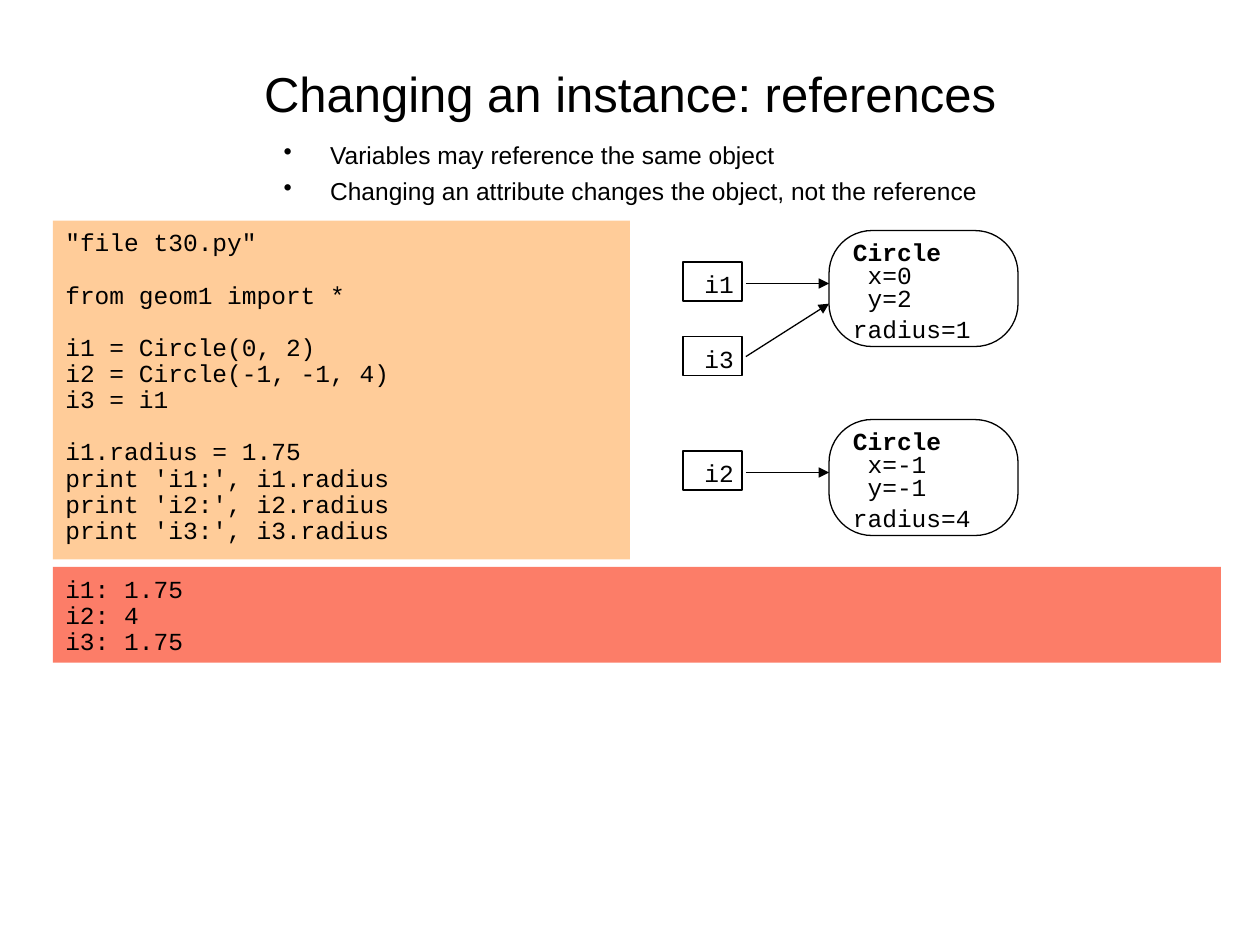
from lxml.etree import SubElement
from pptx import Presentation
from pptx.dml.color import RGBColor
from pptx.enum.shapes import MSO_CONNECTOR, MSO_SHAPE
from pptx.enum.text import MSO_ANCHOR, PP_ALIGN
from pptx.oxml.ns import qn
from pptx.util import Inches, Pt

COLORS = {"text": "000000", "line": "000000", "code": "FFCC99", "output": "FC7D68"}
SANS, MONO = "Arial", "Courier New"

# Grid of the slide, in inches
LEFT = 0.42
LABEL_X, ARROW_X, OBJECT_X = 5.42, 5.92, 6.58
OBJECT_TOP, OBJECT_STEP = 1.83, 1.5
LABEL_SIZE = (0.47, 0.31)
OBJECT_SIZE = (1.5, 0.92)

CODE = """"file t30.py"

from geom1 import *

i1 = Circle(0, 2)
i2 = Circle(-1, -1, 4)
i3 = i1

i1.radius = 1.75
print 'i1:', i1.radius
print 'i2:', i2.radius
print 'i3:', i3.radius"""
OUTPUT = "i1: 1.75\ni2: 4\ni3: 1.75"
BULLETS = [
    "Variables may reference the same object",
    "Changing an attribute changes the object, not the reference",
]
OBJECTS = ["Circle\n x=0\n y=2\nradius=1", "Circle\n x=-1\n y=-1\nradius=4"]


def color(name):
    return RGBColor.from_string(COLORS[name])


def write(shape, text, font, size, spacing, margins=(0, 0, 0, 0),
          anchor=MSO_ANCHOR.TOP, align=PP_ALIGN.LEFT):
    """Put one paragraph per line of text into a shape."""
    frame = shape.text_frame
    frame.text = text
    frame.word_wrap = True
    frame.vertical_anchor = anchor
    (frame.margin_left, frame.margin_top,
     frame.margin_right, frame.margin_bottom) = map(Inches, margins)
    for paragraph in frame.paragraphs:
        paragraph.alignment = align
        paragraph.line_spacing = spacing
        for run in paragraph.runs:
            run.font.name = font
            run.font.size = Pt(size)
            run.font.color.rgb = color("text")
    return frame.paragraphs


def add_box(slide, kind, left, top, width, height, fill=None):
    """Add a filled box, or an outlined one when no fill is named."""
    shape = slide.shapes.add_shape(kind, *map(Inches, (left, top, width, height)))
    shape.shadow.inherit = False
    if fill:
        shape.fill.solid()
        shape.fill.fore_color.rgb = color(fill)
        shape.line.fill.background()
    else:
        shape.fill.background()
        shape.line.color.rgb = color("line")
        shape.line.width = Pt(0.75)
    return shape


def add_title(slide, text):
    box = slide.shapes.add_textbox(*map(Inches, (0.75, 0.44, 8.5, 0.57)))
    write(box, text, SANS, 28, 1.04, anchor=MSO_ANCHOR.MIDDLE, align=PP_ALIGN.CENTER)


def add_bullets(slide, lines):
    box = slide.shapes.add_textbox(*map(Inches, (2.25, 1.1, 5.92, 0.56)))
    for index, paragraph in enumerate(write(box, "\n".join(lines), SANS, 14, 1.04)):
        if index:
            paragraph.space_before = Pt(3.5)
        properties = paragraph._p.get_or_add_pPr()
        properties.set("marL", str(Inches(0.37)))
        properties.set("indent", str(-Inches(0.37)))
        SubElement(properties, qn("a:buChar")).set("char", "•")


def add_listing(slide, text, top, width, height, fill):
    box = add_box(slide, MSO_SHAPE.RECTANGLE, LEFT, top, width, height, fill)
    write(box, text, MONO, 14, Pt(14.94), (0.1, 0.08, 0.1, 0.08))


def add_label(slide, name, top):
    box = add_box(slide, MSO_SHAPE.RECTANGLE, LABEL_X, top, *LABEL_SIZE)
    write(box, name, MONO, 14, 1.0, (0.17, 0.04, 0, 0), MSO_ANCHOR.MIDDLE)


def add_object(slide, text, top):
    shape = add_box(slide, MSO_SHAPE.ROUNDED_RECTANGLE, OBJECT_X, top, *OBJECT_SIZE)
    shape.adjustments[0] = 0.37
    paragraphs = write(shape, text, MONO, 14, Pt(13.14), (0.09, 0, 0, 0))
    paragraphs[0].runs[0].font.bold = True
    paragraphs[-1].space_before = Pt(4.6)


def add_arrow(slide, start_y, end_y):
    arrow = slide.shapes.add_connector(
        MSO_CONNECTOR.STRAIGHT, *map(Inches, (ARROW_X, start_y, OBJECT_X, end_y)))
    arrow.line.color.rgb = color("line")
    arrow.line.width = Pt(0.75)
    SubElement(arrow.line._get_or_add_ln(), qn("a:tailEnd")).set("type", "triangle")
    SubElement(arrow._element.spPr, qn("a:effectLst"))


def main():
    presentation = Presentation()
    presentation.slide_width = Inches(10)
    presentation.slide_height = Inches(7.5)
    slide = presentation.slides.add_slide(presentation.slide_layouts[6])

    # Heading
    add_title(slide, "Changing an instance: references")
    add_bullets(slide, BULLETS)

    # Program and its output
    add_listing(slide, CODE, 1.75, 4.58, 2.69, "code")
    add_listing(slide, OUTPUT, 4.5, 9.27, 0.76, "output")

    # Objects, each with the variable that first refers to it
    for index, text in enumerate(OBJECTS):
        top = OBJECT_TOP + index * OBJECT_STEP
        add_object(slide, text, top)
        add_label(slide, f"i{index + 1}", top + 0.25)
        add_arrow(slide, top + 0.42, top + 0.42)

    # Second reference to the first object
    add_label(slide, "i3", 2.67)
    add_arrow(slide, 2.83, 2.41)

    presentation.save("out.pptx")


if __name__ == "__main__":
    main()
